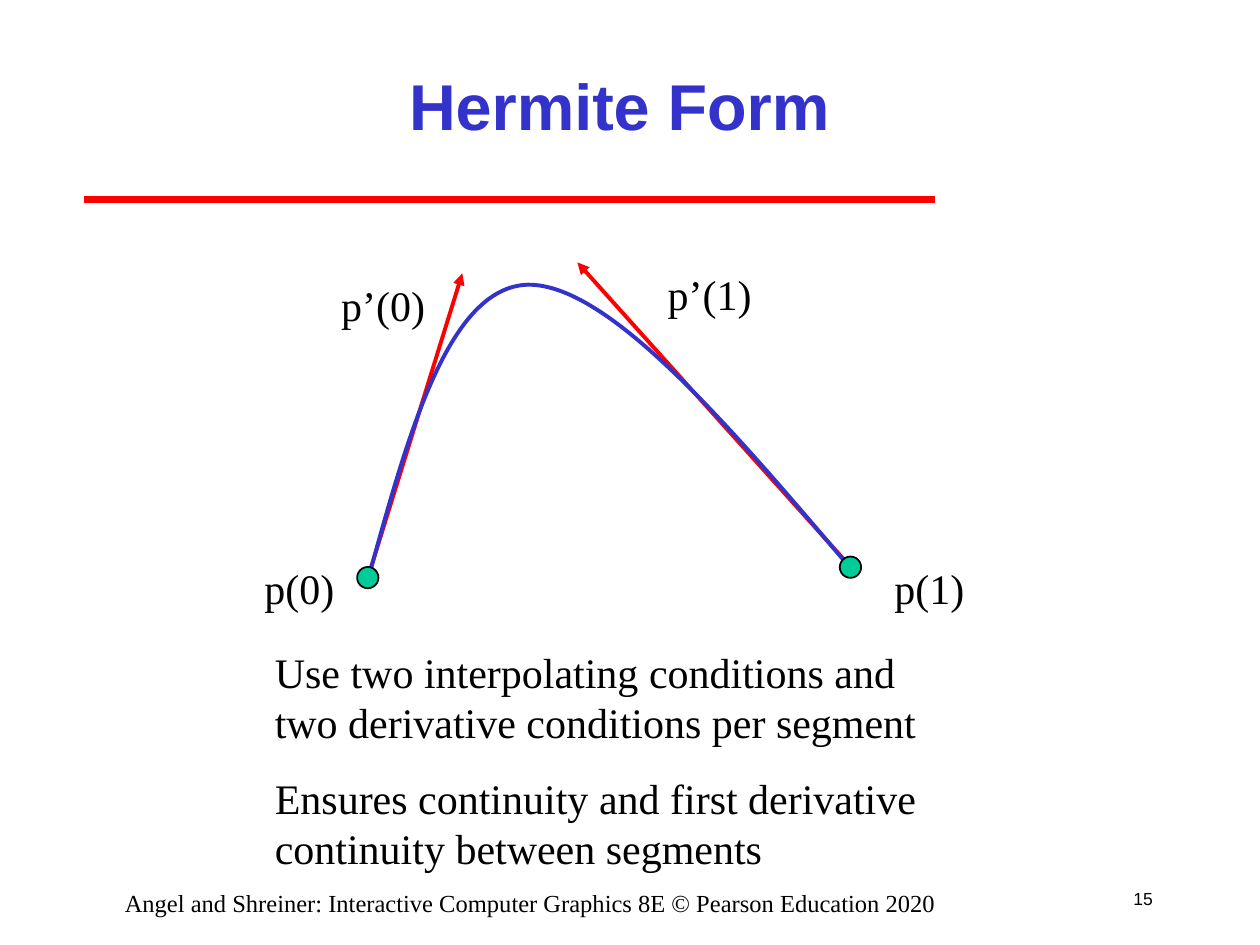
from lxml import etree
from pptx import Presentation
from pptx.dml.color import RGBColor
from pptx.enum.shapes import MSO_CONNECTOR, MSO_SHAPE
from pptx.enum.text import MSO_ANCHOR, MSO_AUTO_SIZE, PP_ALIGN
from pptx.oxml.ns import qn
from pptx.util import Cm, Pt

STRAIGHT = MSO_CONNECTOR.STRAIGHT
OVAL = MSO_SHAPE.OVAL
TOP, MIDDLE = MSO_ANCHOR.TOP, MSO_ANCHOR.MIDDLE
FIXED, GROW = MSO_AUTO_SIZE.NONE, MSO_AUTO_SIZE.SHAPE_TO_FIT_TEXT
LEFT, CENTER, RIGHT = PP_ALIGN.LEFT, PP_ALIGN.CENTER, PP_ALIGN.RIGHT
SERIF, SANS = "Times New Roman", "Arial"
BLACK, RED, BLUE, GREEN = "000000", "FF0000", "3333CC", "00CC99"


def color(hex_string):
    return RGBColor.from_string(hex_string)


def add_text(text, left, top, width, height, size=24, font=SERIF, ink=BLACK,
             bold=False, align=LEFT, anchor=TOP, wrap=False, fit=FIXED):
    """Add a text box; each line of the text becomes a paragraph."""
    box = page.shapes.add_textbox(Cm(left), Cm(top), Cm(width), Cm(height))
    frame = box.text_frame
    frame.word_wrap = wrap
    frame.auto_size = fit
    frame.vertical_anchor = anchor
    frame.text = text
    for para in frame.paragraphs:
        para.alignment = align
        for span in para.runs:
            span.font.name = font
            span.font.size = Pt(size)
            span.font.bold = bold
            span.font.color.rgb = color(ink)


deck = Presentation()
deck.slide_width, deck.slide_height = Cm(25.4), Cm(19.05)
page = deck.slides.add_slide(deck.slide_layouts[6])

# Title rule and the two tangent arrows
for x1, y1, x2, y2, weight, arrow in [
    (1.7, 4.02, 18.85, 4.02, 4, False),
    (17.15, 11.43, 11.64, 5.29, 2.25, True),
    (7.42, 11.63, 9.32, 5.51, 2.25, True),
]:
    line = page.shapes.add_connector(STRAIGHT, Cm(x1), Cm(y1), Cm(x2), Cm(y2))
    line.line.color.rgb = color(RED)
    line.line.width = Pt(weight)
    properties = line._element.spPr
    if arrow:
        etree.SubElement(properties.find(qn("a:ln")), qn("a:tailEnd"), type="triangle")
    etree.SubElement(properties, qn("a:effectLst"))

add_text("Hermite Form", 3.81, 0.63, 17.35, 2.97, size=37, font=SANS, ink=BLUE,
         bold=True, align=CENTER, anchor=MIDDLE, wrap=True)

# Two cubic segments: the start, then two control points and an end for each
curve_points = [(7.42, 11.68), (8.23, 8.74), (9.04, 5.79), (10.64, 5.74),
                (12.27, 5.72), (14.71, 8.59), (17.15, 11.46)]
start, *others = [(Cm(x), Cm(y)) for x, y in curve_points]
builder = page.shapes.build_freeform(*start)
builder.add_line_segments(others, close=False)
curve = builder.convert_to_shape()
curve.shadow.inherit = False
curve.fill.background()
curve.line.color.rgb = color(BLUE)
curve.line.width = Pt(2.25)
segments = list(curve._element.iter(qn("a:lnTo")))
for first in range(0, len(segments), 3):
    cubic = etree.Element(qn("a:cubicBezTo"))
    segments[first].addprevious(cubic)
    for segment in segments[first:first + 3]:
        cubic.append(segment[0])
        segment.getparent().remove(segment)

# End points
for left, top in [(7.2, 11.43), (16.93, 11.22)]:
    dot = page.shapes.add_shape(OVAL, Cm(left), Cm(top), Cm(0.43), Cm(0.43))
    dot.shadow.inherit = False
    dot.fill.solid()
    dot.fill.fore_color.rgb = color(GREEN)
    dot.line.color.rgb = color(BLACK)
    dot.line.width = Pt(1)

for label, left, top, width in [
    ("p(0)", 5.08, 11.22, 1.93),
    ("p(1)", 17.78, 11.22, 1.93),
    ("p’(0)", 6.63, 5.51, 2.2),
    ("p’(1)", 13.21, 5.28, 2.2),
]:
    add_text(label, left, top, width, 1.27, fit=GROW)

for index, remark in enumerate([
    "Use two interpolating conditions and\ntwo derivative conditions per segment",
    "Ensures continuity and first derivative\ncontinuity between segments",
]):
    add_text(remark, 5.29, 12.91 + 2.54 * index, 13.44, 2.29, fit=GROW)

add_text("Angel and Shreiner: Interactive Computer Graphics 8E © Pearson Education 2020",
         1.27, 17.78, 18.85, 0.64, size=14, align=CENTER, wrap=True)
add_text("15", 22.42, 17.57, 1.07, 1.07, size=10, font=SANS, align=RIGHT, anchor=MIDDLE)

deck.save("out.pptx")
